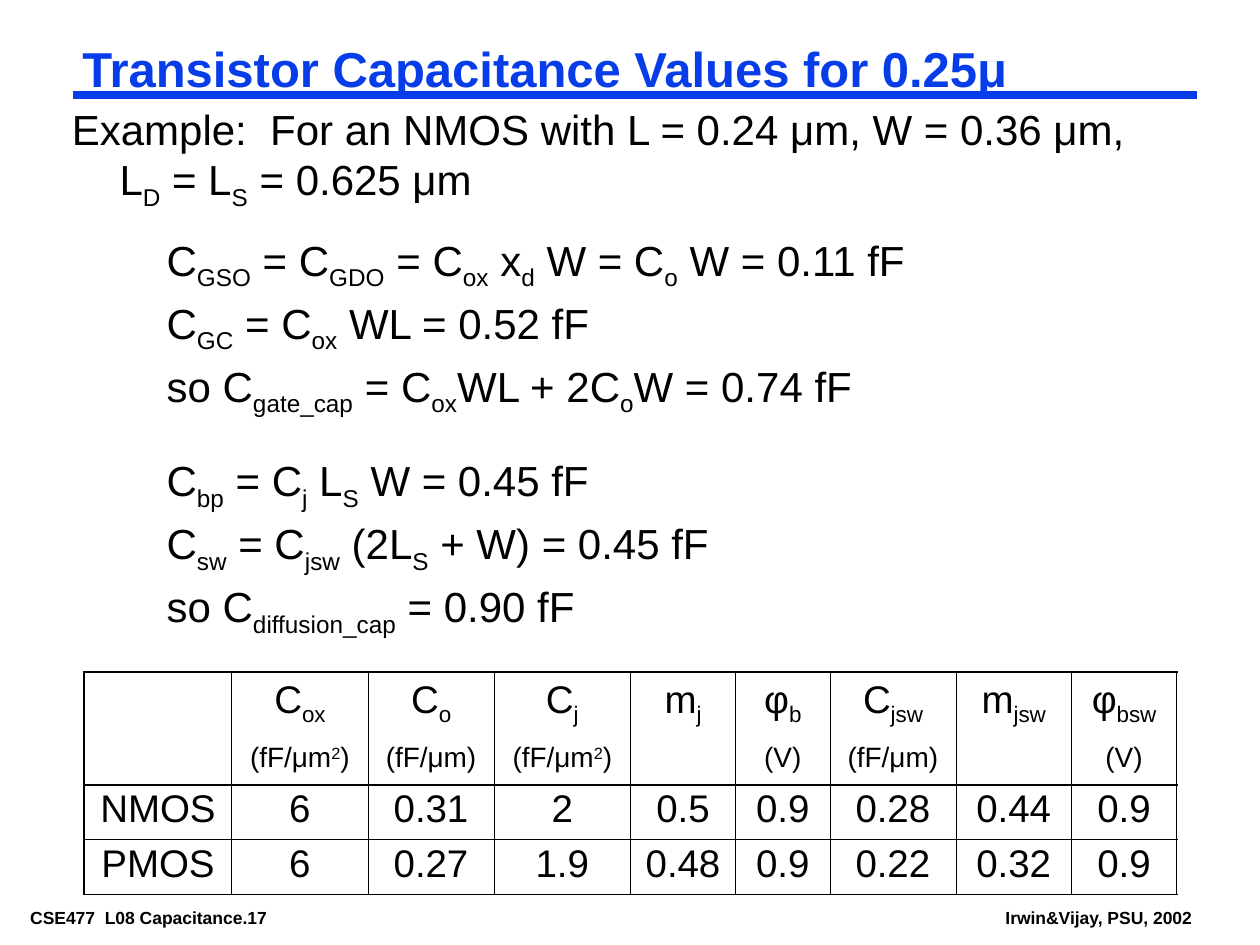
from itertools import product

from lxml import etree
from pptx import Presentation
from pptx.dml.color import RGBColor
from pptx.enum import shapes, text
from pptx.oxml import ns
from pptx.util import Cm, Pt

FONT, BLACK, BLUE = "Arial", "000000", "063DE8"
THICK, THIN = 1.08, 0.45


def colour(code):
    return RGBColor.from_string(code)


def apply(target, values):
    for name, value in values.items():
        setattr(target, name, value)


def write(para, content, size, code=BLACK, bold=False, **layout):
    """Write text in which {x} is a subscript and {^x} a superscript."""
    apply(para, layout)
    for number, piece in enumerate(content.replace("}", "{").split("{")):
        if not piece:
            continue
        lines = piece.split("\n")
        for line_number, line in enumerate(lines):
            if line_number:
                para.add_line_break()
            span = para.add_run()
            span.text = line.lstrip("^")
            apply(span.font, {"name": FONT, "size": Pt(size), "bold": bold})
            span.font.color.rgb = colour(code)
            if number % 2:
                shift = "30000" if line.startswith("^") else "-25000"
                span.font._element.set("baseline", shift)


def format_frame(frame, wrap=True, fit=text.MSO_AUTO_SIZE.SHAPE_TO_FIT_TEXT):
    apply(frame, {
        "margin_left": Cm(0.18), "margin_right": Cm(0.18),
        "margin_top": Cm(0.08), "margin_bottom": Cm(0.08),
        "word_wrap": wrap, "auto_size": fit,
        "vertical_anchor": text.MSO_ANCHOR.TOP,
    })


def add_text(page, left, top, width, height, content, size=24,
             bold=False, wrap=True, hanging=True):
    box = page.shapes.add_textbox(Cm(left), Cm(top), Cm(width), Cm(height))
    format_frame(box.text_frame, wrap)
    para = box.text_frame.paragraphs[0]
    if hanging:
        properties = para._p.get_or_add_pPr()
        properties.set("marL", str(Cm(0.96)))
        properties.set("indent", str(-Cm(0.96)))
    write(para, content, size, bold=bold, line_spacing=0.9 if hanging else 1.0)


def add_heading(page, left, top, width, height):
    # Rule under the title
    rule_top = Cm(top + 1.06)
    rule = page.shapes.add_connector(
        shapes.MSO_CONNECTOR.STRAIGHT, Cm(left), rule_top, Cm(left + width), rule_top)
    rule.line.width = Pt(4.5)
    rule.line.color.rgb = colour(BLUE)
    etree.SubElement(rule._element.spPr, ns.qn("a:effectLst"))
    # Title
    title = page.shapes.title
    apply(title, {"left": Cm(left), "top": Cm(top),
                  "width": Cm(width), "height": Cm(height)})
    format_frame(title.text_frame, fit=text.MSO_AUTO_SIZE.NONE)
    write(title.text_frame.paragraphs[0], "Transistor Capacitance Values for 0.25μ",
          28, BLUE, True, alignment=text.PP_ALIGN.LEFT, line_spacing=0.87)


def add_equations(page, left, top, width, equations):
    for number, equation in enumerate(equations):
        add_text(page, left, top + 1.27 * number, width, 1.19, equation)


def set_borders(cell, widths):
    properties = cell._tc.get_or_add_tcPr()
    for side, width in zip("LRTB", widths):
        line = etree.SubElement(properties, ns.qn(f"a:ln{side}"), w=str(Pt(width)))
        fill = etree.SubElement(line, ns.qn("a:solidFill"))
        etree.SubElement(fill, ns.qn("a:srgbClr"), val=BLACK)


def add_value_table(page, left, top, columns, heights, rows):
    frame = page.shapes.add_table(len(rows), len(columns), Cm(left), Cm(top),
                                  Cm(sum(columns)), Cm(sum(heights)))
    table = frame.table
    apply(table, {"first_row": False, "horz_banding": False})
    for column, width in zip(table.columns, columns):
        column.width = Cm(width)
    for row, height in zip(table.rows, heights):
        row.height = Cm(height)

    # Heavy lines go round the table, the header row and the name column
    last_row, last_column = len(rows) - 1, len(columns) - 1
    for r, c in product(range(len(rows)), range(len(columns))):
        cell = table.cell(r, c)
        heavy = (c in (0, 1), c in (0, last_column), r in (0, 1), r in (0, last_row))
        set_borders(cell, [THICK if side else THIN for side in heavy])
        cell.fill.background()
        symbol, *units = rows[r][c].split("|")
        layout = {"alignment": text.PP_ALIGN.CENTER, "line_spacing": 0.9}
        write(cell.text_frame.paragraphs[0], symbol, 22, **layout)
        for unit in units:
            write(cell.text_frame.add_paragraph(), unit, 16,
                  space_before=Pt(13), **layout)


def add_footer(page, left, top, right):
    for start, width, content in ((left, 6.43, "CSE477  L08 Capacitance.17"),
                                  (right - 4.14, 4.14, "Irwin&Vijay, PSU, 2002")):
        add_text(page, start, top, width, 0.56, content, 10,
                 bold=True, wrap=False, hanging=False)


def main():
    deck = Presentation()
    apply(deck, {"slide_width": Cm(25.4), "slide_height": Cm(19.05)})
    page = deck.slides.add_slide(deck.slide_layouts[5])

    add_footer(page, 0.43, 18.21, 24.23)
    add_heading(page, 1.48, 0.85, 22.65, 1.17)
    add_value_table(
        page, 1.7, 13.55,
        [2.97, 2.75, 2.54, 2.75, 2.12, 1.9, 2.54, 2.33, 2.12], [2.28, 1.1, 1.1],
        [["", "C{ox}|(fF/μm{^2})", "C{o}|(fF/μm)", "C{j}|(fF/μm{^2})", "m{j}",
          "φ{b}|(V)", "C{jsw}|(fF/μm)", "m{jsw}", "φ{bsw}|(V)"],
         ["NMOS", "6", "0.31", "2", "0.5", "0.9", "0.28", "0.44", "0.9"],
         ["PMOS", "6", "0.27", "1.9", "0.48", "0.9", "0.22", "0.32", "0.9"]])
    add_text(page, 1.27, 2.12, 23.07, 2.12,
             "Example:  For an NMOS with L = 0.24 μm, W = 0.36 μm,\n"
             "L{D} = L{S} = 0.625 μm")
    # Gate capacitance, then diffusion capacitance
    add_equations(page, 3.18, 4.66, 21.17, [
        "C{GSO} = C{GDO} = C{ox} x{d} W = C{o} W = 0.11 fF",
        "C{GC} = C{ox} WL = 0.52 fF",
        "so C{gate_cap} = C{ox}WL + 2C{o}W = 0.74 fF"])
    add_equations(page, 3.18, 9.1, 21.17, [
        "C{bp} = C{j} L{S} W = 0.45 fF",
        "C{sw} = C{jsw} (2L{S} + W) = 0.45 fF",
        "so C{diffusion_cap} = 0.90 fF"])
    deck.save("out.pptx")


if __name__ == "__main__":
    main()
